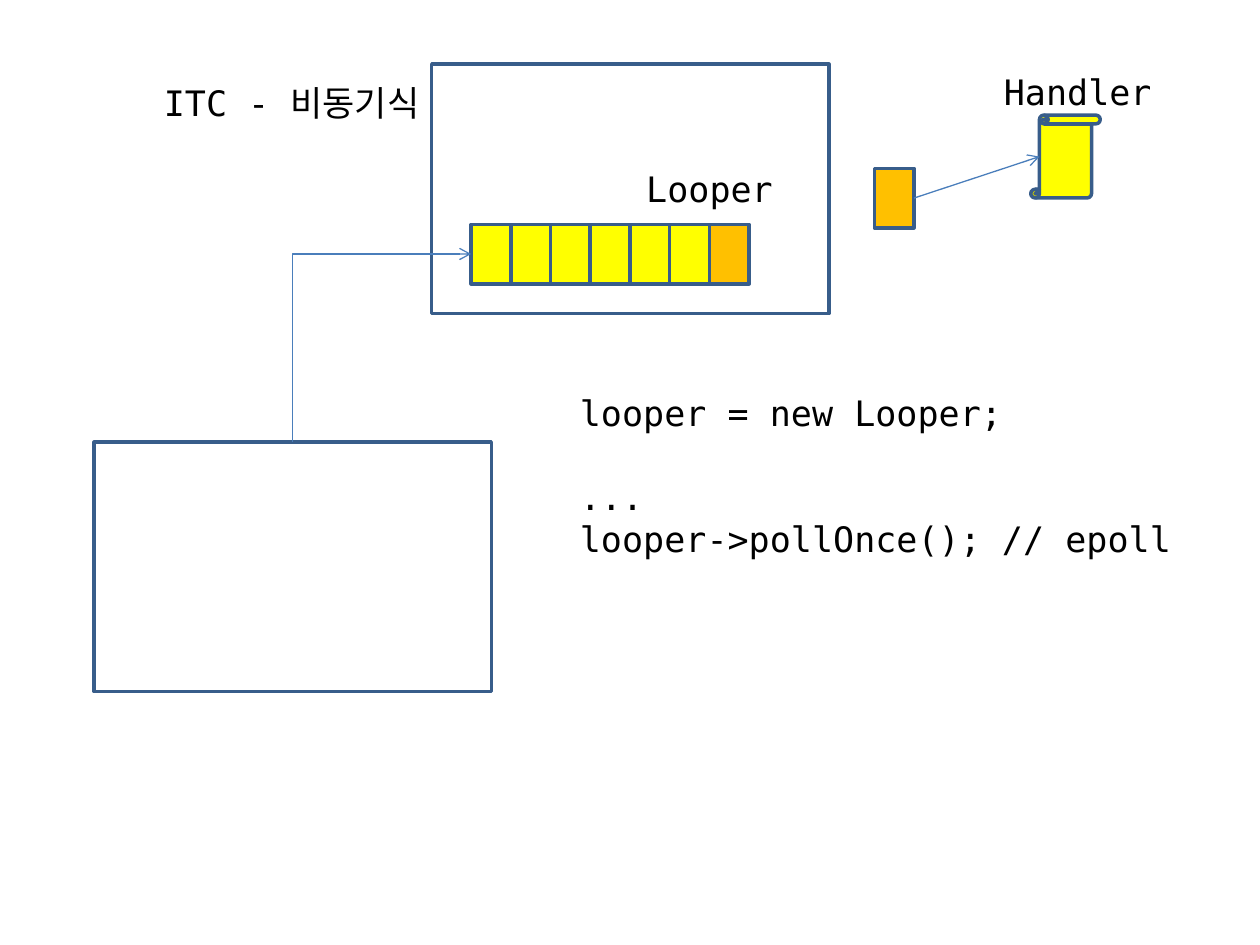
from lxml import etree
from pptx import Presentation
from pptx import util as u
from pptx.dml.color import RGBColor
from pptx.enum import shapes, text
from pptx.oxml.ns import qn

COLORS = {"ink": "000000", "border": "385D8A", "arrow": "4A7EBB",
          "queued": "FFFF00", "current": "FFC000"}


class Diagram:
    font = "DejaVu Sans Mono"
    size = 20
    border = 2
    thin = 0.75

    def __init__(self, s):
        self.s = s

    def color(self, name):
        return RGBColor.from_string(COLORS[name])

    def set_text(self, sp, lines, gaps):
        tf = sp.text_frame
        tf.text = "\n".join(lines)
        tf.word_wrap = False
        tf.auto_size = text.MSO_AUTO_SIZE.NONE
        tf.vertical_anchor = text.MSO_ANCHOR.TOP
        for i, p in enumerate(tf.paragraphs):
            p.alignment = text.PP_ALIGN.LEFT
            p.space_before = u.Pt(gaps.get(i, 0))
            for r in p.runs:
                r.font.name = self.font
                r.font.size = u.Pt(self.size)
                r.font.color.rgb = self.color("ink")

    def title(self, x, y, w, h, line):
        sp = self.s.shapes.title
        sp.left, sp.top, sp.width, sp.height = map(u.Pt, (x, y, w, h))
        self.set_text(sp, [line], {})

    def label(self, x, y, w, h, lines, gaps={}):
        sp = self.s.shapes.add_textbox(*map(u.Pt, (x, y, w, h)))
        self.set_text(sp, lines, gaps)

    def box(self, x, y, w, h, fill=None, kind=shapes.MSO_SHAPE.RECTANGLE):
        sp = self.s.shapes.add_shape(kind, *map(u.Pt, (x, y, w, h)))
        sp.shadow.inherit = False
        if fill:
            sp.fill.solid()
            sp.fill.fore_color.rgb = self.color(fill)
        else:
            sp.fill.background()
        sp.line.color.rgb = self.color("border")
        sp.line.width = u.Pt(self.border)

    def arrow(self, x1, y1, x2, y2):
        c = self.s.shapes.add_connector(
            shapes.MSO_CONNECTOR.STRAIGHT, *map(u.Pt, (x1, y1, x2, y2)))
        c.line.color.rgb = self.color("arrow")
        c.line.width = u.Pt(self.thin)
        pr = c._element.spPr
        etree.SubElement(pr.find(qn("a:ln")), qn("a:tailEnd"), type="arrow")
        etree.SubElement(pr, qn("a:effectLst"))
        return c

    def up_then_right(self, x1, y1, x2, y2):
        cx, cy = (x1 + x2) / 2, (y1 + y2) / 2
        dx, dy = (y1 - y2) / 2, (x2 - x1) / 2
        c = self.arrow(cx + dx, cy + dy, cx - dx, cy - dy)
        pr = c._element.spPr
        pr.find(qn("a:prstGeom")).set("prst", "bentConnector2")
        pr.find(qn("a:xfrm")).set("rot", str(90 * 60000))


def main():
    prs = Presentation()
    prs.slide_width, prs.slide_height = u.Pt(720), u.Pt(540)
    d = Diagram(prs.slides.add_slide(prs.slide_layouts[5]))

    thread_w, thread_h = 227, 142.5
    cell_w, cell_h = 22.7, 34
    queue_x, queue_y, queue_len = 269.2, 128.2, 7
    sender_x, sender_y = 53.8, 252.7
    taken_x, taken_y = 499.6, 96.2

    d.title(86.4, 43.2, 164.9, 31.7, "ITC - 비동기식")
    d.label(362.2, 92.2, 86.4, 31.7, ["Looper"])
    d.box(246.7, 36.7, thread_w, thread_h)
    for i in range(queue_len):
        d.box(queue_x + i * cell_w, queue_y, cell_w, cell_h,
              "current" if i == queue_len - 1 else "queued")
    d.box(sender_x, sender_y, thread_w, thread_h)
    d.up_then_right(sender_x + thread_w / 2, sender_y,
                    queue_x, queue_y + cell_h / 2)
    d.label(324.3, 220.3, 352, 103.7,
            ["looper = new Looper;", "...", "looper->pollOnce(); // epoll"],
            {1: 24})
    d.box(taken_x, taken_y, cell_w, cell_h, "current")
    d.box(589, 65.8, 39.7, 47.3, "queued", shapes.MSO_SHAPE.VERTICAL_SCROLL)
    d.label(566.6, 36.7, 98.6, 31.7, ["Handler"])
    d.arrow(taken_x + cell_w, taken_y + cell_h / 2, 594, 89.5)

    prs.save("out.pptx")


if __name__ == "__main__":
    main()
